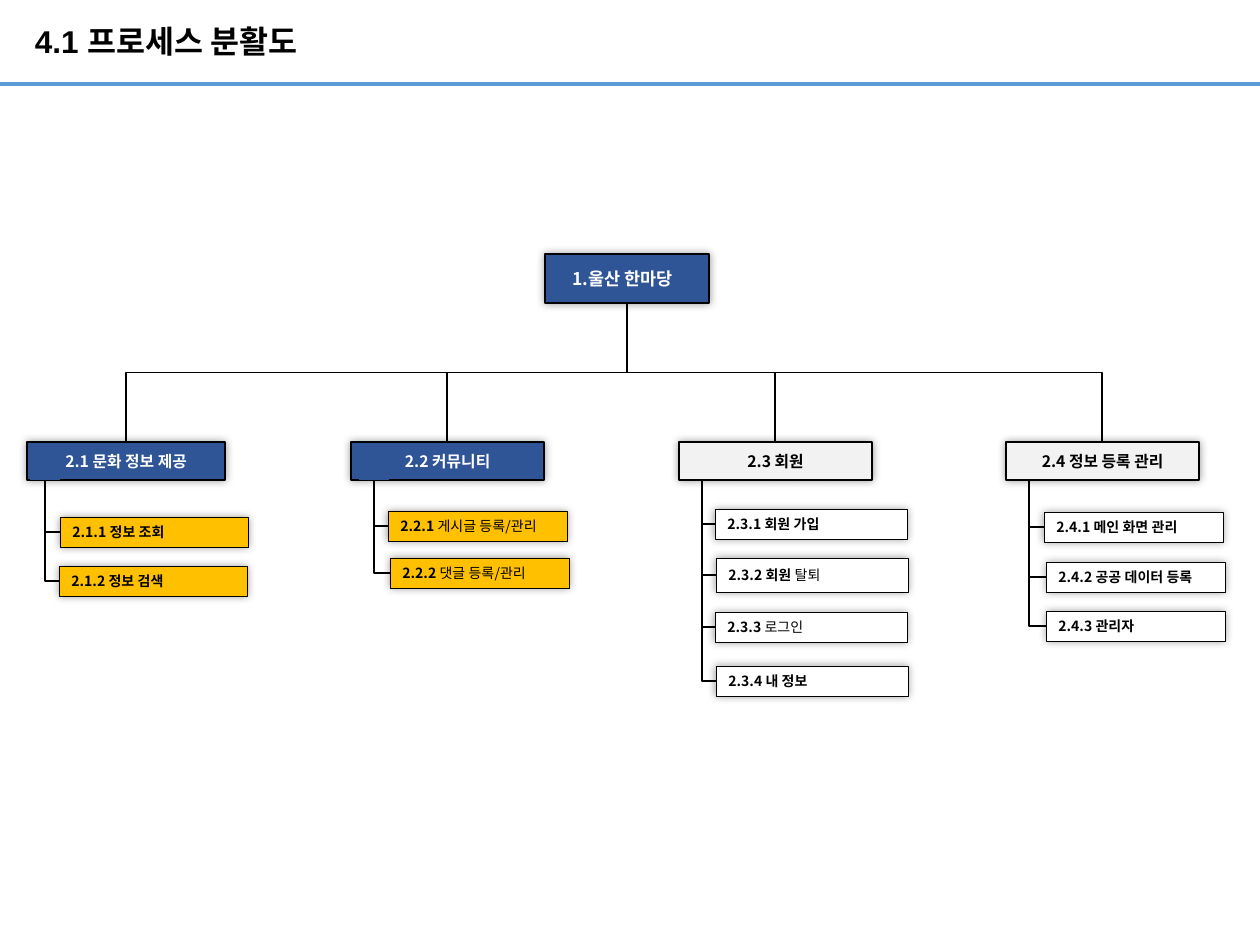
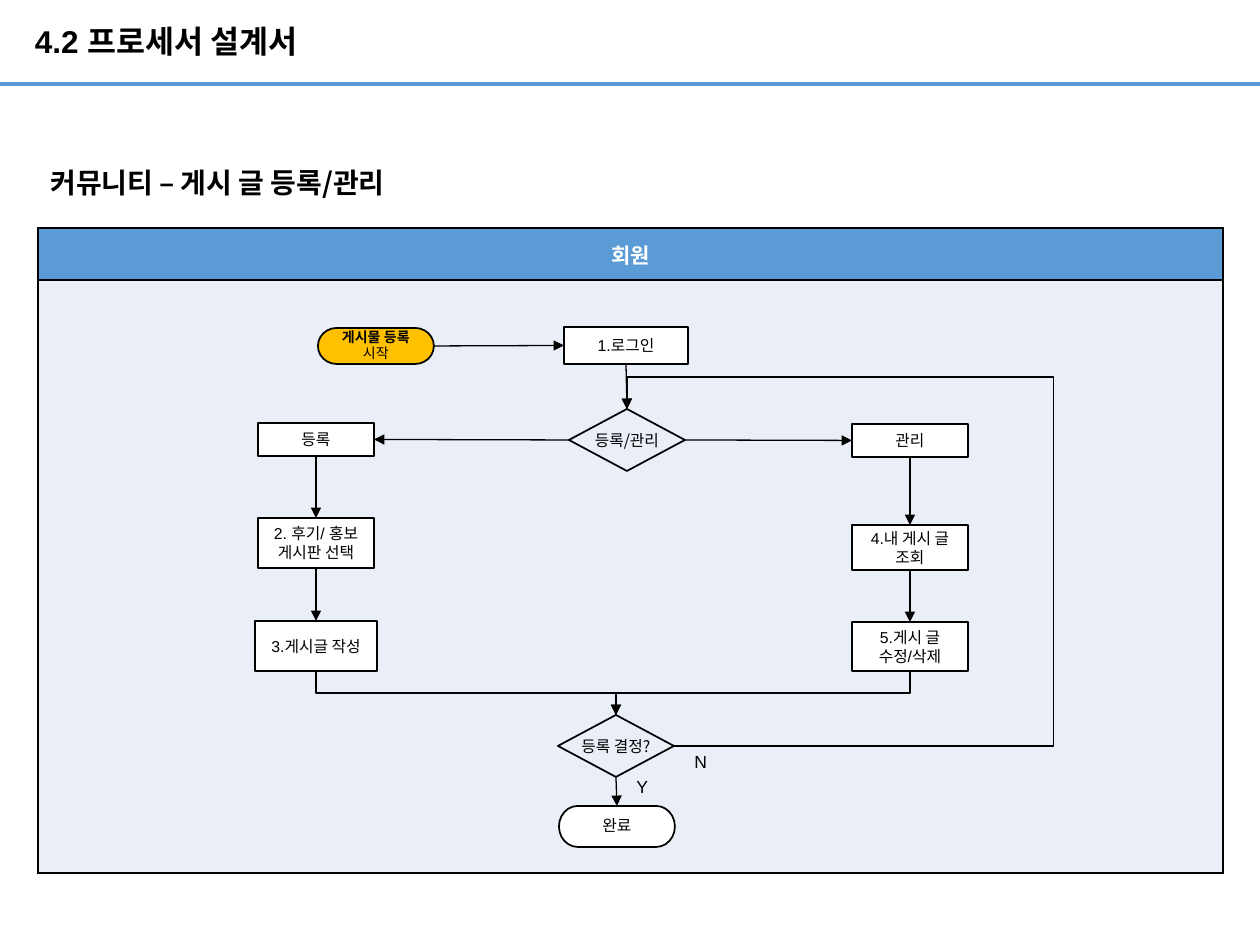
"""Build two slides: a process breakdown tree and a posting flowchart."""
from lxml.etree import SubElement
from pptx import Presentation
from pptx.dml.color import RGBColor
from pptx.enum.shapes import MSO_CONNECTOR as CONN, MSO_SHAPE as SHAPE
from pptx.enum.text import MSO_ANCHOR as ANCHOR, PP_ALIGN as ALIGN
from pptx.oxml.ns import qn
from pptx.util import Inches, Pt

PX = 7257


class Theme:
    black, white, gray = "000000", "FFFFFF", "F2F2F2"
    navy, blue, pale, amber = "2F5597", "5B9BD5", "EAEFF7", "FFC000"
    latin, korean = "Arial", "Noto Sans CJK KR"
    title, heading, band, root, head, step, leaf = 18, 16, 12, 10, 9, 9, 8
    thick, rule, outline, thin, hair = 2.25, 1.5, 1, 0.75, 0.25


def style(sp, text="", size=Theme.step, font=Theme.korean, color=Theme.black,
          bold=True, align=ALIGN.CENTER, anchor=ANCHOR.MIDDLE, inset=None,
          spacing=None, wrap=True, fill=None, line=None, shadow=False):
    """Format a shape or cell; a bar in the text ends its bold part."""
    if fill:
        sp.fill.solid()
        sp.fill.fore_color.rgb = RGBColor.from_string(fill)
    else:
        sp.fill.background()
    if hasattr(sp, "shadow"):
        sp.shadow.inherit = False
        if line:
            sp.line.color.rgb = RGBColor.from_string(Theme.black)
            sp.line.width = Pt(line)
        else:
            sp.line.fill.background()
    if shadow:
        effects = sp._element.spPr.find(qn("a:effectLst"))
        outer = SubElement(effects, qn("a:outerShdw"), blurRad=str(Pt(5)), dist="0")
        rgb = SubElement(outer, qn("a:srgbClr"), val=Theme.black)
        SubElement(rgb, qn("a:alpha"), val="40000")
    tf = sp.text_frame
    tf.word_wrap = wrap
    tf.vertical_anchor = anchor
    if inset:
        tf.margin_left, tf.margin_top, tf.margin_right, tf.margin_bottom = [v * PX for v in inset]
    for i, row in enumerate(text.split("\n")):
        p = tf.add_paragraph() if i else tf.paragraphs[0]
        p.alignment = align
        if spacing:
            p.line_spacing = spacing
        for j, part in enumerate(row.split("|")):
            if part:
                r = p.add_run()
                r.text = part
                r.font.size, r.font.name, r.font.bold = Pt(size), font, bold and j == 0
                r.font.color.rgb = RGBColor.from_string(color)
                SubElement(r._r.rPr, qn("a:ea"), typeface=Theme.korean)


def link(s, kind, x1, y1, x2, y2, color=Theme.black, width=Theme.thin, arrow=False, adj=()):
    """Draw a line or elbow; two- and three-part elbows leave downwards."""
    turned = kind in ("bentConnector2", "bentConnector3")
    ends = [x1 * PX, y1 * PX, x2 * PX, y2 * PX]
    if turned:
        w, h = abs(y2 - y1) * PX, abs(x2 - x1) * PX
        left, top = ((x1 + x2) * PX - w) // 2, ((y1 + y2) * PX - h) // 2
        ends = [left, top, left + w, top + h]
    c = s.shapes.add_connector(CONN.STRAIGHT if kind == "line" else CONN.ELBOW, *ends)
    c.line.color.rgb = RGBColor.from_string(color)
    c.line.width = Pt(width)
    spPr = c._element.spPr
    if turned:
        xfrm = spPr.find(qn("a:xfrm"))
        xfrm.set("rot", "16200000" if x2 > x1 else "5400000")
        xfrm.set("flipH", "1" if x2 > x1 else "0")
    geom = spPr.find(qn("a:prstGeom"))
    geom.set("prst", kind)
    for i, v in enumerate(adj, 1):
        SubElement(geom.find(qn("a:avLst")), qn("a:gd"), name=f"adj{i}", fmla=f"val {round(v * 100000)}")
    if arrow:
        SubElement(spPr.find(qn("a:ln")), qn("a:tailEnd"), type="triangle")
    SubElement(spPr, qn("a:effectLst"))
    return c


prs = Presentation()
prs.slide_width, prs.slide_height = Inches(10), Inches(7.5)

for title in ("4.1 프로세스 분활도", "4.2 프로세서 설계서"):
    s = prs.slides.add_slide(prs.slide_layouts[6])
    link(s, "line", 0, 84, 1260, 84, color=Theme.blue, width=Theme.thick)
    sp = s.shapes.add_textbox(35 * PX, 0, 824 * PX, 86 * PX)
    style(sp, title, size=Theme.title, font=Theme.latin, align=ALIGN.LEFT,
          inset=(0, 0, 0, 0), spacing=0.9)
tree, flow = prs.slides

ROOT_X, ROOT_BOTTOM, HEAD_TOP, HEAD_H, LEAF_H = 627, 303, 442, 38, 30
branches = [
    ("2.1 문화 정보 제공", 27, 198, 45, 30, Theme.navy, Theme.white, Theme.amber, 188,
     [("2.1.1 정보 조회", 60, 517, LEAF_H), ("2.1.2 정보 검색", 59, 566, LEAF_H)]),
    ("2.2 커뮤니티", 351, 193, 374, 359, Theme.navy, Theme.white, Theme.amber, 179,
     [("2.2.1 |게시글 등록/관리", 388, 511, LEAF_H), ("2.2.2 |댓글 등록/관리", 390, 558, LEAF_H)]),
    ("2.3 회원", 679, 193, 702, None, Theme.gray, Theme.black, Theme.white, 192,
     [("2.3.1 회원 가입", 715, 509, LEAF_H), ("2.3.2 회원 |탈퇴", 716, 558, 34),
      ("2.3.3 |로그인", 715, 612, LEAF_H), ("2.3.4 내 정보", 716, 666, LEAF_H)]),
    ("2.4 정보 등록 관리", 1006, 193, 1029, None, Theme.gray, Theme.black, Theme.white, 179,
     [("2.4.1 메인 화면 관리", 1044, 512, LEAF_H), ("2.4.2 공공 데이터 등록", 1046, 562, LEAF_H),
      ("2.4.3 관리자", 1046, 611, LEAF_H)]),
]
sp = tree.shapes.add_shape(SHAPE.RECTANGLE, 545 * PX, 254 * PX, 164 * PX, 49 * PX)
style(sp, "1.울산 한마당", size=Theme.root, color=Theme.white, fill=Theme.navy,
      line=Theme.thin, shadow=True, inset=(4, 6, 13, 6))
for text, x, w, trunk, patch, fill, color, leaf_fill, leaf_w, leaves in branches:
    link(tree, "bentConnector3", ROOT_X, ROOT_BOTTOM, x + w // 2, HEAD_TOP)
    sp = tree.shapes.add_shape(SHAPE.RECTANGLE, x * PX, HEAD_TOP * PX, w * PX, HEAD_H * PX)
    style(sp, text, size=Theme.head, color=color, fill=fill, line=Theme.thin, shadow=True)
    if patch:
        sp = tree.shapes.add_shape(SHAPE.RECTANGLE, patch * PX, 450 * PX, 30 * PX, 30 * PX)
        style(sp, fill=fill)
    for leaf, left, top, h in leaves:
        sp = tree.shapes.add_shape(SHAPE.RECTANGLE, left * PX, top * PX, leaf_w * PX, h * PX)
        style(sp, leaf, size=Theme.leaf, align=ALIGN.LEFT, fill=leaf_fill,
              line=Theme.hair, shadow=True)
        link(tree, "bentConnector2", trunk, HEAD_TOP + HEAD_H, left, top + h // 2)

lane = flow.shapes.add_table(2, 1, 38 * PX, 228 * PX, 1185 * PX, 645 * PX).table
lane.first_row = lane.horz_banding = False
lane_rows = [("회원", 52, Theme.blue, Theme.rule, Theme.thin),
             ("", 593, Theme.pale, Theme.thin, Theme.rule)]
for i, (text, h, fill, top, bottom) in enumerate(lane_rows):
    lane.rows[i].height = h * PX
    cell = lane.cell(i, 0)
    cell.vertical_anchor = ANCHOR.MIDDLE
    style(cell, text, size=Theme.band, color=Theme.white, fill=fill)
    tcPr = cell._tc.get_or_add_tcPr()
    edges = [("L", Theme.rule), ("R", Theme.rule), ("T", top), ("B", bottom)]
    for j, (side, width) in enumerate(edges):
        ln = SubElement(tcPr, qn(f"a:ln{side}"), w=str(Pt(width)))
        SubElement(SubElement(ln, qn("a:solidFill")), qn("a:srgbClr"), val=Theme.black)
        tcPr.insert(j, ln)

labels = [("커뮤니티 – 게시 글 등록/관리", 38, 159, 485, 47, Theme.heading, Theme.korean, True),
          ("N", 682, 745, 37, 34, Theme.root, Theme.latin, False),
          ("Y", 624, 770, 33, 34, Theme.root, Theme.latin, False)]
for text, x, y, w, h, size, font, bold in labels:
    sp = flow.shapes.add_textbox(x * PX, y * PX, w * PX, h * PX)
    style(sp, text, size=size, font=font, bold=bold, align=ALIGN.LEFT, anchor=ANCHOR.TOP)

RECT, PILL, CHOICE = SHAPE.RECTANGLE, SHAPE.FLOWCHART_TERMINATOR, SHAPE.FLOWCHART_DECISION
steps = [
    ("start", PILL, "게시물 등록\n|시작", 318, 328, 116, 36),
    ("login", RECT, "1.로그인", 564, 327, 124, 37),
    ("choose", CHOICE, "등록/관리", 569, 409, 116, 62),
    ("register", RECT, "등록", 258, 423, 116, 33),
    ("manage", RECT, "관리", 852, 424, 116, 33),
    ("board", RECT, "2. 후기/ 홍보 게시판 선택", 258, 518, 116, 50),
    ("view", RECT, "4.내 게시 글\n조회", 852, 525, 116, 45),
    ("write", RECT, "3.게시글 작성", 255, 621, 122, 50),
    ("edit", RECT, "5.게시 글 수정/삭제", 852, 622, 116, 49),
    ("decide", CHOICE, "등록 결정?", 558, 715, 116, 62),
    ("done", PILL, "완료", 559, 806, 116, 41),
]
nodes = {}
for name, kind, text, x, y, w, h in steps:
    sp = nodes[name] = flow.shapes.add_shape(kind, x * PX, y * PX, w * PX, h * PX)
    first, choice = name == "start", kind == CHOICE
    style(sp, text, size=Theme.leaf if first else Theme.step, bold=first,
          font=Theme.korean if choice else Theme.latin,
          inset=(5, 5, 5, 5) if choice else (2, 0, 2, 0), wrap=not choice,
          spacing=0.9 if kind == PILL else None, line=Theme.outline,
          fill=None if choice else Theme.amber if first else Theme.white)

TOP, LEFT, BOTTOM, RIGHT = range(4)
arrows = [("start", RIGHT, "login", LEFT), ("login", BOTTOM, "choose", TOP),
          ("choose", LEFT, "register", RIGHT), ("choose", RIGHT, "manage", LEFT),
          ("register", BOTTOM, "board", TOP), ("board", BOTTOM, "write", TOP),
          ("manage", BOTTOM, "view", TOP), ("view", BOTTOM, "edit", TOP),
          ("decide", BOTTOM, "done", TOP)]
for a, a_side, b, b_side in arrows:
    c = link(flow, "line", 0, 0, 0, 0, arrow=True)
    c.begin_connect(nodes[a], a_side)
    c.end_connect(nodes[b], b_side)
for x in (316, 910):
    link(flow, "bentConnector3", x, 671, 616, 715, arrow=True)
link(flow, "bentConnector4", 674, 746, 627, 409, arrow=True,
     adj=((1054 - 674) / (627 - 674), (377 - 746) / (409 - 746)))

prs.save("out.pptx")
